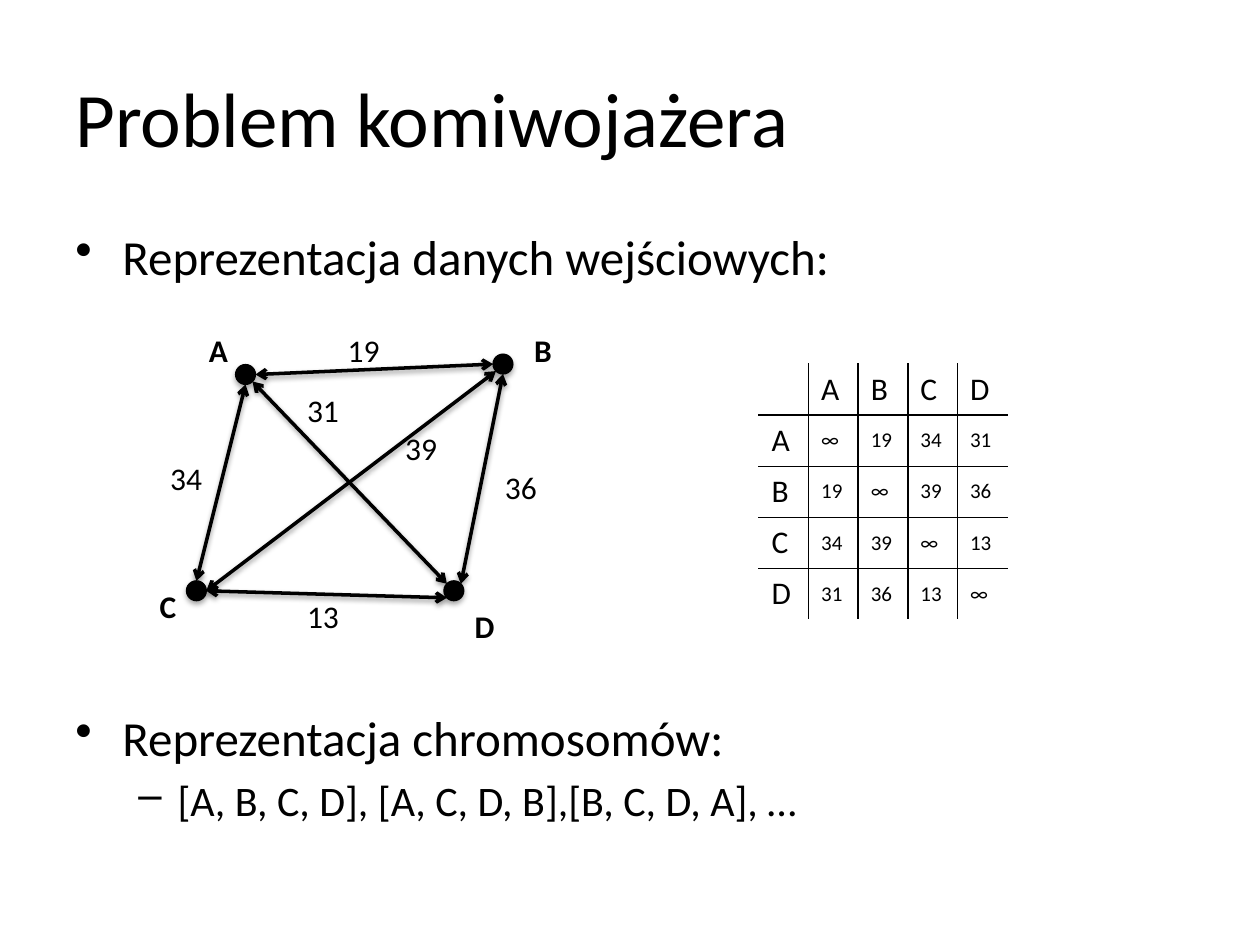
from math import cos, radians, sin

from lxml.etree import SubElement
from pptx import Presentation
from pptx.dml.color import RGBColor
from pptx.enum.shapes import MSO_CONNECTOR as Connector, MSO_SHAPE as Shape
from pptx.enum.text import MSO_ANCHOR as Anchor, MSO_AUTO_SIZE as AutoSize, PP_ALIGN as Align
from pptx.oxml.ns import qn
from pptx.util import Cm, Pt

# Content
TITLE = "Problem komiwojażera"
# text, level, space before in points
BULLETS = [
    ("Reprezentacja danych wejściowych:", 0, 5.6),
    ("Reprezentacja chromosomów:", 0, 241),  # leaves room for the graph and table
    ("[A, B, C, D], [A, C, D, B],[B, C, D, A], …", 1, 4.8),
]
# city: centre of its node, corner of its label (cm)
CITIES = {
    "A": ((4.95, 7.55), (3.96, 6.55)),
    "B": ((10.14, 7.34), (10.52, 6.55)),
    "C": ((3.96, 11.91), (2.97, 11.71)),
    "D": ((9.15, 11.91), (9.32, 12.12)),
}
# from, angle on its node, to, angle on its node, distance, corner of its label (cm)
ROADS = [
    ("A", 0, "B", 180, 19, (6.76, 6.55)),
    ("C", 270, "A", 90, 34, (3.18, 9.12)),
    ("D", 135, "C", 0, 13, (5.94, 11.91)),
    ("D", 315, "B", 90, 36, (9.93, 9.32)),
    ("A", 45, "D", 225, 31, (5.94, 7.75)),
    ("C", 0, "B", 135, 39, (7.92, 8.53)),
]

THEME = {
    "font": "Calibri", "ink": RGBColor(0, 0, 0),
    "title": 44, "label": 18, "value": 12,
    # by level: size, bullet, left indent and hanging indent (cm)
    "levels": [(28, "•", 0.95, 0.95), (24, "–", 2.06, 0.79)],
}
RADIUS = 0.2
COLUMN, ROW = 1.0, 1.03


def style(paragraph, size, bold=False):
    font = paragraph.font
    font.name, font.size, font.bold = THEME["font"], Pt(size), bold
    font.color.rgb = THEME["ink"]


def add_text(shapes, text, box, size, bold=False):
    textbox = shapes.add_textbox(*map(Cm, box))
    frame = textbox.text_frame
    frame.text = text
    style(frame.paragraphs[0], size, bold)
    return frame


def add_label(shapes, text, corner, width, bold=False):
    frame = add_text(shapes, text, (*corner, width, 1.02), THEME["label"], bold)
    frame.word_wrap = False
    frame.auto_size = AutoSize.SHAPE_TO_FIT_TEXT


def add_shadow(shape, distance, opacity):
    effects = SubElement(shape._element.spPr, qn("a:effectLst"))
    shadow = SubElement(effects, qn("a:outerShdw"), blurRad=str(Pt(3.1)),
                        dist=str(Pt(distance)), dir="5400000", rotWithShape="0")
    color = SubElement(shadow, qn("a:srgbClr"), val=str(THEME["ink"]))
    SubElement(color, qn("a:alpha"), val=str(opacity * 1000))


def port(city, angle):
    (x, y), _ = CITIES[city]
    return Cm(x + RADIUS * cos(radians(angle))), Cm(y + RADIUS * sin(radians(angle)))


def add_bullets(slide):
    frame = slide.shapes.add_textbox(Cm(1.27), Cm(4.45), Cm(22.86), Cm(12.57)).text_frame
    frame.word_wrap = True
    for index, (text, level, space) in enumerate(BULLETS):
        paragraph = frame.add_paragraph() if index else frame.paragraphs[0]
        size, bullet, left, hanging = THEME["levels"][level]
        paragraph.text, paragraph.level = text, level
        paragraph.space_before = Pt(space)
        style(paragraph, size)
        properties = paragraph._p.get_or_add_pPr()
        properties.set("marL", str(Cm(left)))
        properties.set("indent", str(-Cm(hanging)))
        mark = properties.makeelement(qn("a:buChar"), {"char": bullet})
        properties.find(qn("a:defRPr")).addprevious(mark)


def add_graph(slide):
    shapes = slide.shapes.add_group_shape().shapes
    # Nodes
    for city, ((x, y), corner) in CITIES.items():
        node = shapes.add_shape(Shape.OVAL, Cm(x - RADIUS), Cm(y - RADIUS),
                                Cm(2 * RADIUS), Cm(2 * RADIUS))
        node.fill.solid()
        node.fill.fore_color.rgb = node.line.color.rgb = THEME["ink"]
        node.line.width = Pt(0.75)
        add_shadow(node, 1.8, 35)
        add_label(shapes, city, corner, 0.88, bold=True)
    # Two-way roads with their distances
    for start, start_angle, end, end_angle, distance, corner in ROADS:
        road = shapes.add_connector(Connector.STRAIGHT, *port(start, start_angle),
                                    *port(end, end_angle))
        road.line.color.rgb = THEME["ink"]
        road.line.width = Pt(2)
        line = road.line._get_or_add_ln()
        for tip in ("a:headEnd", "a:tailEnd"):
            SubElement(line, qn(tip), type="arrow")
        add_shadow(road, 1.6, 38)
        add_label(shapes, str(distance), corner, 1.17)


def add_borders(cell, sides):
    properties = cell._tc.get_or_add_tcPr()
    for side in sides:
        line = SubElement(properties, qn(f"a:ln{side}"), w=str(Pt(1)))
        fill = SubElement(line, qn("a:solidFill"))
        SubElement(fill, qn("a:srgbClr"), val=str(THEME["ink"]))


def add_matrix(slide):
    distances = {frozenset((start, end)): str(distance)
                 for start, _, end, _, distance, _ in ROADS}
    cities = list(CITIES)
    rows = [["", *cities]] + [
        [a] + [distances.get(frozenset((a, b)), "∞") for b in cities] for a in cities]
    count = len(rows)
    table = slide.shapes.add_table(count, count, Cm(15.3), Cm(7.34),
                                   Cm(count * COLUMN), Cm(count * ROW)).table
    table.first_row = table.horz_banding = False
    for i, row in enumerate(rows):
        table.columns[i].width, table.rows[i].height = Cm(COLUMN), Cm(ROW)
        for j, text in enumerate(row):
            cell = table.cell(i, j)
            cell.text = text
            cell.vertical_anchor = Anchor.MIDDLE
            style(cell.text_frame.paragraphs[0], THEME["value" if i and j else "label"])
            # Only the inner grid lines are drawn
            inner = {"L": j > 0, "R": j < count - 1, "T": i > 0, "B": i < count - 1}
            add_borders(cell, [side for side, drawn in inner.items() if drawn])
            cell.fill.background()


def main():
    presentation = Presentation()
    presentation.slide_width, presentation.slide_height = Cm(25.4), Cm(19.05)
    slide = presentation.slides.add_slide(presentation.slide_layouts[6])
    # Title
    title = add_text(slide.shapes, TITLE, (1.27, 0.76, 22.86, 3.18), THEME["title"])
    title.word_wrap = True
    title.vertical_anchor = Anchor.MIDDLE
    title.paragraphs[0].alignment = Align.LEFT
    # Body
    add_bullets(slide)
    add_matrix(slide)
    add_graph(slide)
    presentation.save("out.pptx")


if __name__ == "__main__":
    main()
